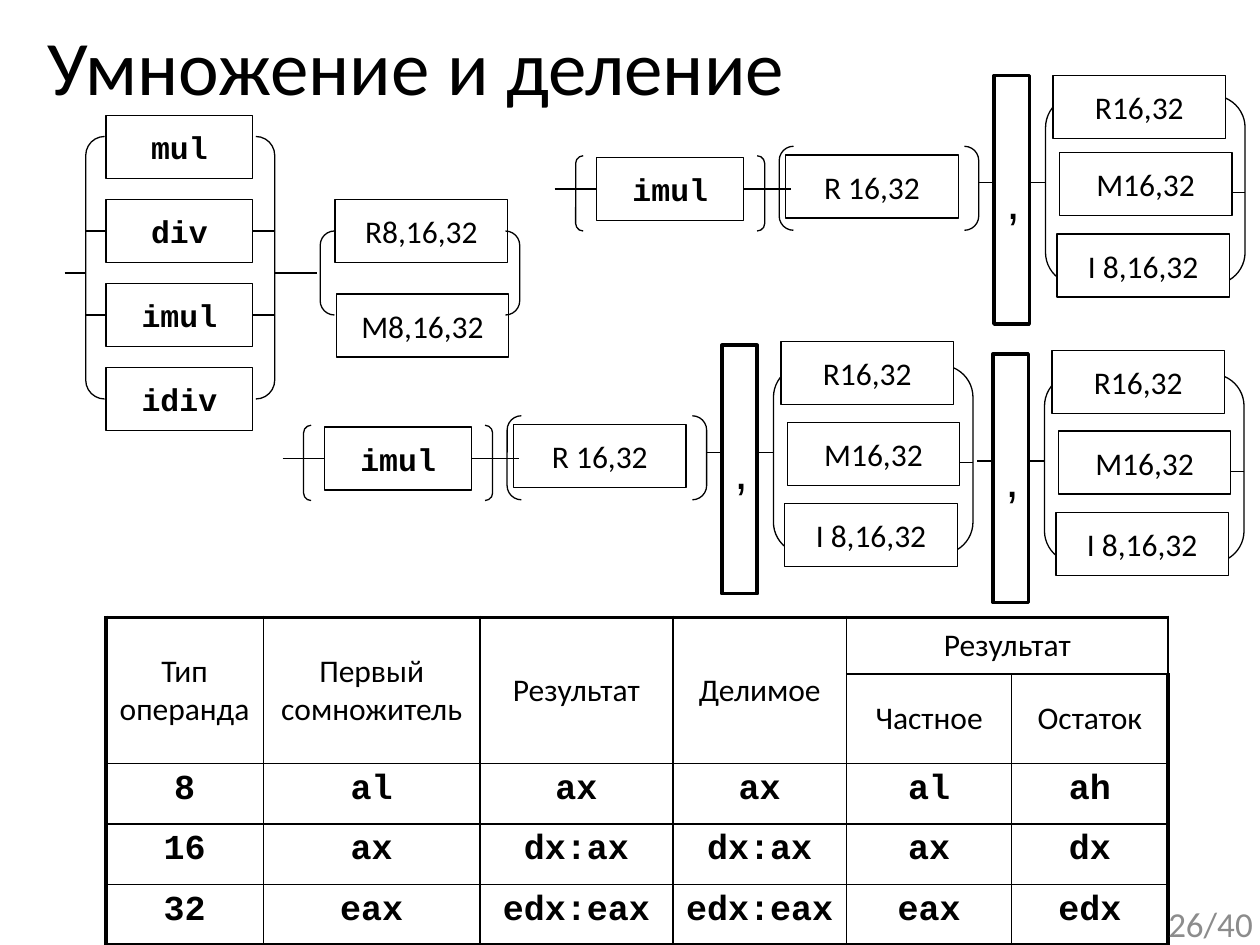
from lxml import etree
from pptx import Presentation
from pptx.dml.color import RGBColor
from pptx.enum.shapes import MSO_CONNECTOR as Connector, MSO_SHAPE as Shape
from pptx.enum.text import MSO_ANCHOR as Anchor, PP_ALIGN as Align
from pptx.oxml.ns import qn
from pptx.util import Pt

COLORS = {"ink": "000000", "paper": "FFFFFF", "muted": "8C8C8C"}
SANS, MONO, COMMA_FONT = "Calibri", "Courier New", "Arial"
LEFT_SIDE, RIGHT_SIDE = 1, 3
BOX_HEIGHT = 36
MNEMONIC_WIDTH, OPERAND_WIDTH = 84, 98.6
THIN, MEDIUM, THICK = 0.75, 1, 2.25


def color(name):
    return RGBColor.from_string(COLORS[name])


class SlideBuilder:
    """Draws syntax diagrams and tables on one slide; lengths are points."""

    def __init__(self, page):
        self.page = page
        self.shapes = page.shapes

    def set_text(self, frame, text, size, font=SANS, ink="ink", bold=False,
                 align=Align.CENTER, anchor=Anchor.MIDDLE):
        frame.text = text
        frame.vertical_anchor = anchor
        para = frame.paragraphs[0]
        para.alignment = align
        span = para.runs[0]
        span.font.size = Pt(size)
        span.font.name = font
        span.font.bold = bold
        span.font.color.rgb = color(ink)

    def title(self, text, left, top, width, height):
        holder = self.shapes.title
        holder.left, holder.top = Pt(left), Pt(top)
        holder.width, holder.height = Pt(width), Pt(height)
        self.set_text(holder.text_frame, text, 44, align=Align.LEFT, anchor=Anchor.TOP)
        holder.text_frame.margin_top = Pt(6)

    def label(self, text, left, top, width, height):
        box = self.shapes.add_textbox(Pt(left), Pt(top), Pt(width), Pt(height))
        box.text_frame.word_wrap = True
        self.set_text(box.text_frame, text, 20, ink="muted", align=Align.RIGHT)

    def outline(self, kind, left, top, width, height, weight=THIN):
        shape = self.shapes.add_shape(kind, Pt(left), Pt(top), Pt(width), Pt(height))
        shape.shadow.inherit = False
        shape.line.color.rgb = color("ink")
        shape.line.width = Pt(weight)
        return shape

    def box(self, text, left, top, width, height=BOX_HEIGHT, weight=THIN,
            wrap=False, size=18, font=SANS, bold=False):
        shape = self.outline(Shape.RECTANGLE, left, top, width, height, weight)
        shape.fill.solid()
        shape.fill.fore_color.rgb = color("paper")
        shape.text_frame.word_wrap = wrap
        self.set_text(shape.text_frame, text, size, font, bold=bold)
        return shape

    def mnemonic(self, text, left, top):
        return self.box(text, left, top, MNEMONIC_WIDTH, font=MONO, bold=True)

    def operand(self, text, left, top):
        return self.box(text, left, top, OPERAND_WIDTH)

    def brackets(self, left, top, width, height, rounding):
        shape = self.outline(Shape.DOUBLE_BRACKET, left, top, width, height)
        shape.adjustments[0] = rounding
        shape.fill.background()

    def line(self, start, end, y, box_before=None, box_after=None):
        """Draw a level line, joined to the boxes it leaves or enters."""
        link = self.shapes.add_connector(
            Connector.STRAIGHT, Pt(start), Pt(y), Pt(end), Pt(y))
        if box_before is not None:
            link.begin_connect(box_before, RIGHT_SIDE)
        if box_after is not None:
            link.end_connect(box_after, LEFT_SIDE)
        link.line.color.rgb = color("ink")
        link.line.width = Pt(THIN)
        etree.SubElement(link._element.spPr, qn("a:effectLst"))

    def border(self, cell, weights):
        properties = cell._tc.get_or_add_tcPr()
        for position, (side, weight) in enumerate(weights.items()):
            edge = etree.Element(qn(f"a:ln{side}"), w=str(Pt(weight)))
            fill = etree.SubElement(edge, qn("a:solidFill"))
            etree.SubElement(fill, qn("a:srgbClr"), val=COLORS["ink"])
            properties.insert(position, edge)

    def table(self, rows, merges, left, top, widths, heights, header_rows):
        frame = self.shapes.add_table(len(heights), len(widths), Pt(left), Pt(top),
                                      Pt(sum(widths)), Pt(sum(heights)))
        grid = frame.table
        grid.first_row = grid.horz_banding = False
        for column, width in zip(grid.columns, widths):
            column.width = Pt(width)
        for row, height in zip(grid.rows, heights):
            row.height = Pt(height)
        for (top_row, left_column), (bottom_row, right_column) in merges:
            grid.cell(top_row, left_column).merge(grid.cell(bottom_row, right_column))
        last_row, last_column = len(heights) - 1, len(widths) - 1
        for r, texts in enumerate(rows):
            for c, text in enumerate(texts):
                cell = grid.cell(r, c)
                cell.fill.background()
                outer = {"L": c == 0, "R": c == last_column,
                         "T": r == 0, "B": r == last_row}
                self.border(cell, {side: THICK if is_outer else MEDIUM
                                   for side, is_outer in outer.items()
                                   if is_outer or not cell.is_spanned})
                if not text:
                    continue
                if r < header_rows:
                    size, font, bold, anchor = 18, SANS, False, Anchor.MIDDLE
                else:
                    size, font, bold, anchor = 20, MONO, True, Anchor.TOP
                self.set_text(cell.text_frame, text, size, font, bold=bold)
                cell.vertical_anchor = anchor
                cell.text_frame.paragraphs[0].space_before = Pt(size * 0.2)


def one_operand_syntax(builder):
    boxes = [builder.mnemonic(name, 60.5, 66 + 48 * index)
             for index, name in enumerate(("mul", "div", "imul", "idiv"))]
    builder.operand("R8,16,32", 191.5, 114)
    builder.operand("M8,16,32", 192.2, 168)
    builder.brackets(49, 78, 108, 150, 0.1)
    builder.brackets(183, 132, 114, 48, 0.17)
    builder.line(37, 49, 156)
    builder.line(157, 181, 156)
    for box, y in zip(boxes[1:3], (132, 180)):
        builder.line(49, 60.5, y, box_after=box)
        builder.line(144.5, 157, y, box_before=box)


def imul_syntax(builder, left, middle):
    """Draw the imul mnemonic and its first register operand."""
    imul = builder.mnemonic("imul", left + 24, middle - 18)
    builder.operand("R 16,32", left + 132, middle - 19.4)
    builder.brackets(left + 12, middle - 19, 108, 43, 0.1)
    builder.brackets(left + 128.3, middle - 24.4, 114, 48, 0.17)
    builder.line(left, left + 12, middle)
    builder.line(left + 12, left + 24, middle, box_after=imul)
    builder.line(left + 108, left + 120, middle, box_before=imul)
    builder.line(left + 120, left + 135, middle)


def next_operand(builder, left, top, register_rise=2):
    """Draw a comma followed by a choice of three operands."""
    builder.line(left - 9, left + 29.5, top + 61.2)
    builder.brackets(left + 29.5, top + 11.4, 114, 108, 0.17)
    builder.operand("R16,32", left + 33.8, top - register_rise)
    builder.operand("I 8,16,32", left + 36, top + 90.5)
    builder.line(left + 131.8, left + 143.5, top + 67)
    builder.box(",", left, top, 20.2, 142, weight=2, wrap=True, size=28, font=COMMA_FONT)
    builder.operand("M16,32", left + 37.4, top + 44)


def main():
    deck = Presentation()
    deck.slide_width, deck.slide_height = Pt(720), Pt(540)
    builder = SlideBuilder(deck.slides.add_slide(deck.slide_layouts[5]))
    builder.title("Умножение и деление", 20, 4.3, 680, 90)
    one_operand_syntax(builder)
    imul_syntax(builder, 317, 108)
    next_operand(builder, 568, 43.2, register_rise=0)
    imul_syntax(builder, 161.5, 262)
    next_operand(builder, 412.5, 197.3)
    next_operand(builder, 567.4, 202.3)
    rows = [
        ("Тип операнда", "Первый сомножитель", "Результат", "Делимое", "Результат", ""),
        ("", "", "", "", "Частное", "Остаток"),
        ("8", "al", "ax", "ax", "al", "ah"),
        ("16", "ax", "dx:ax", "dx:ax", "ax", "dx"),
        ("32", "eax", "edx:eax", "edx:eax", "eax", "edx"),
    ]
    merges = [((0, column), (1, column)) for column in range(4)] + [((0, 4), (0, 5))]
    builder.table(rows, merges, 60.5, 352.8, (90, 123.8, 110.2, 99.4, 94.3, 89.3),
                  (32.4, 30.2, 34.6, 34.6, 34.6), header_rows=2)
    builder.label("26/40", 555, 513.4, 168, 28.8)
    deck.save("out.pptx")


if __name__ == "__main__":
    main()
